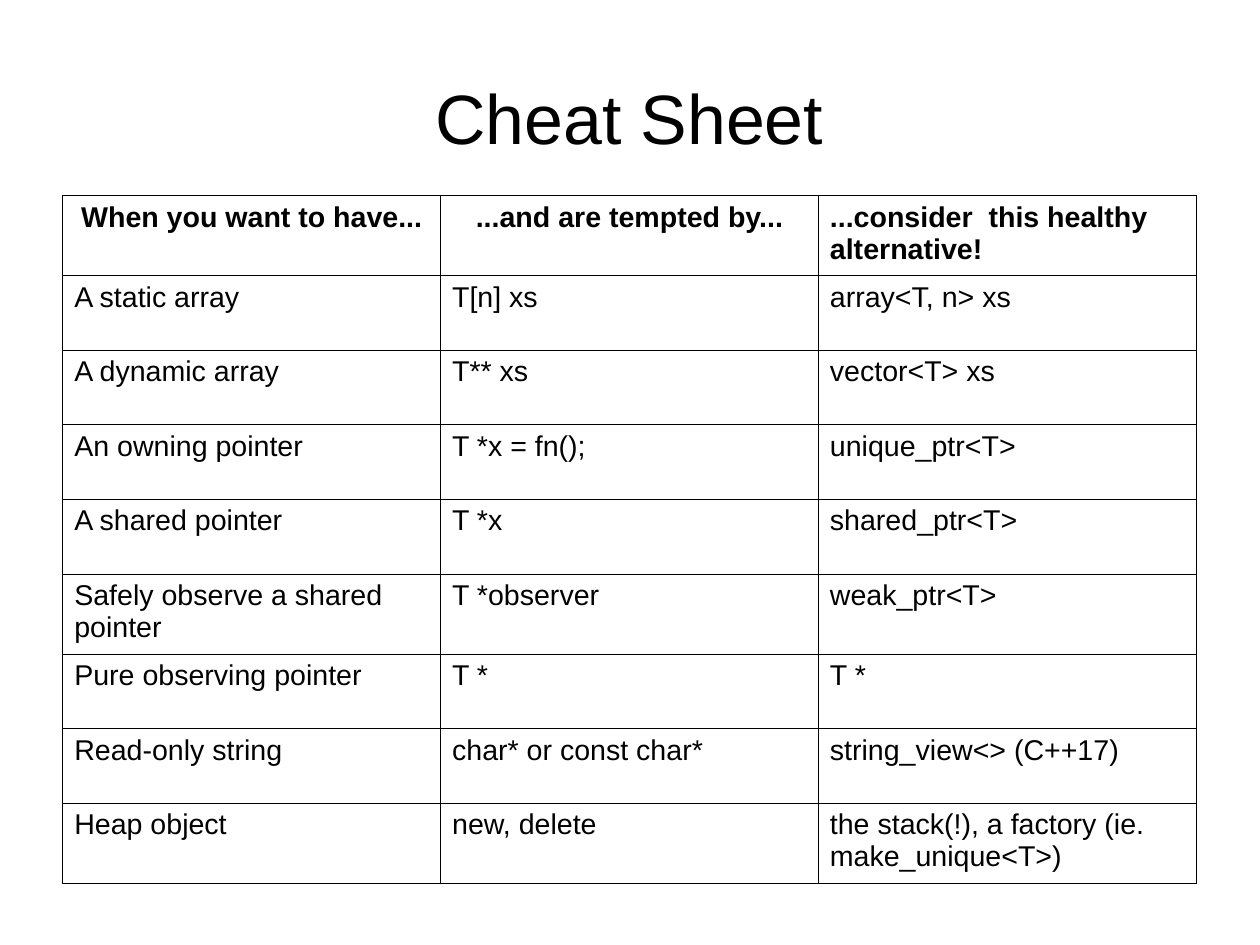
"""Build the smart pointer cheat sheet slide."""
from lxml import etree
from pptx import Presentation
from pptx.dml.color import RGBColor
from pptx.enum.text import MSO_ANCHOR, PP_ALIGN
from pptx.oxml.ns import qn
from pptx.util import Pt

CENTER, LEFT = PP_ALIGN.CENTER, PP_ALIGN.LEFT
MIDDLE, TOP = MSO_ANCHOR.MIDDLE, MSO_ANCHOR.TOP
BLACK = "000000"
LEFT_EDGE, COLUMN_WIDTH, ROW_HEIGHT = 39.6, 238, 47
ROWS = [
    ("When you want to have...", "...and are tempted by...", "...consider  this healthy alternative!"),
    ("A static array", "T[n] xs", "array<T, n> xs"),
    ("A dynamic array", "T** xs", "vector<T> xs"),
    ("An owning pointer", "T *x = fn();", "unique_ptr<T>"),
    ("A shared pointer", "T *x", "shared_ptr<T>"),
    ("Safely observe a shared pointer", "T *observer", "weak_ptr<T>"),
    ("Pure observing pointer", "T *", "T *"),
    ("Read-only string", "char* or const char*", "string_view<> (C++17)"),
    ("Heap object", "new, delete", "the stack(!), a factory (ie. make_unique<T>)"),
]


def color(value):
    return RGBColor.from_string(value)


def write(frame, text, alignment, **formats):
    para = frame.paragraphs[0]
    para.alignment = alignment
    span = para.add_run()
    span.text = text
    span.font.color.rgb = color(BLACK)
    for name, value in ({"name": "Arial"} | formats).items():
        setattr(span.font, name, value)


deck = Presentation()
deck.slide_width, deck.slide_height = Pt(793.7), Pt(595.3)
page = deck.slides.add_slide(deck.slide_layouts[6])

title = page.shapes.add_textbox(Pt(LEFT_EDGE), Pt(23.8), Pt(3 * COLUMN_WIDTH), Pt(99.4))
title_format = {"word_wrap": True, "vertical_anchor": MIDDLE, "margin_left": 0,
                "margin_right": 0, "margin_top": 0, "margin_bottom": 0}
for name, value in title_format.items():
    setattr(title.text_frame, name, value)
write(title.text_frame, "Cheat Sheet", CENTER, size=Pt(44))

table = page.shapes.add_table(
    len(ROWS), 3, Pt(LEFT_EDGE), Pt(123.1), Pt(3 * COLUMN_WIDTH), Pt(len(ROWS) * ROW_HEIGHT)
).table
table.first_row = table.horz_banding = False
for column in table.columns:
    column.width = Pt(COLUMN_WIDTH)

cell_format = {"vertical_anchor": TOP, "margin_left": Pt(7.2), "margin_right": Pt(7.2),
               "margin_top": Pt(3.6), "margin_bottom": Pt(3.6)}
for row_index, texts in enumerate(ROWS):
    table.rows[row_index].height = Pt(ROW_HEIGHT)
    header = row_index == 0
    for column_index, text in enumerate(texts):
        cell = table.cell(row_index, column_index)
        for name, value in cell_format.items():
            setattr(cell, name, value)
        alignment = CENTER if header and column_index < 2 else LEFT
        write(cell.text_frame, text, alignment, size=Pt(18), bold=header)
        properties = cell._tc.get_or_add_tcPr()
        for side in ("a:lnL", "a:lnR", "a:lnT", "a:lnB"):
            border = etree.SubElement(properties, qn(side), w=str(Pt(0.57)))
            fill = etree.SubElement(border, qn("a:solidFill"))
            etree.SubElement(fill, qn("a:srgbClr"), val=BLACK)
        cell.fill.background()

deck.save("out.pptx")
